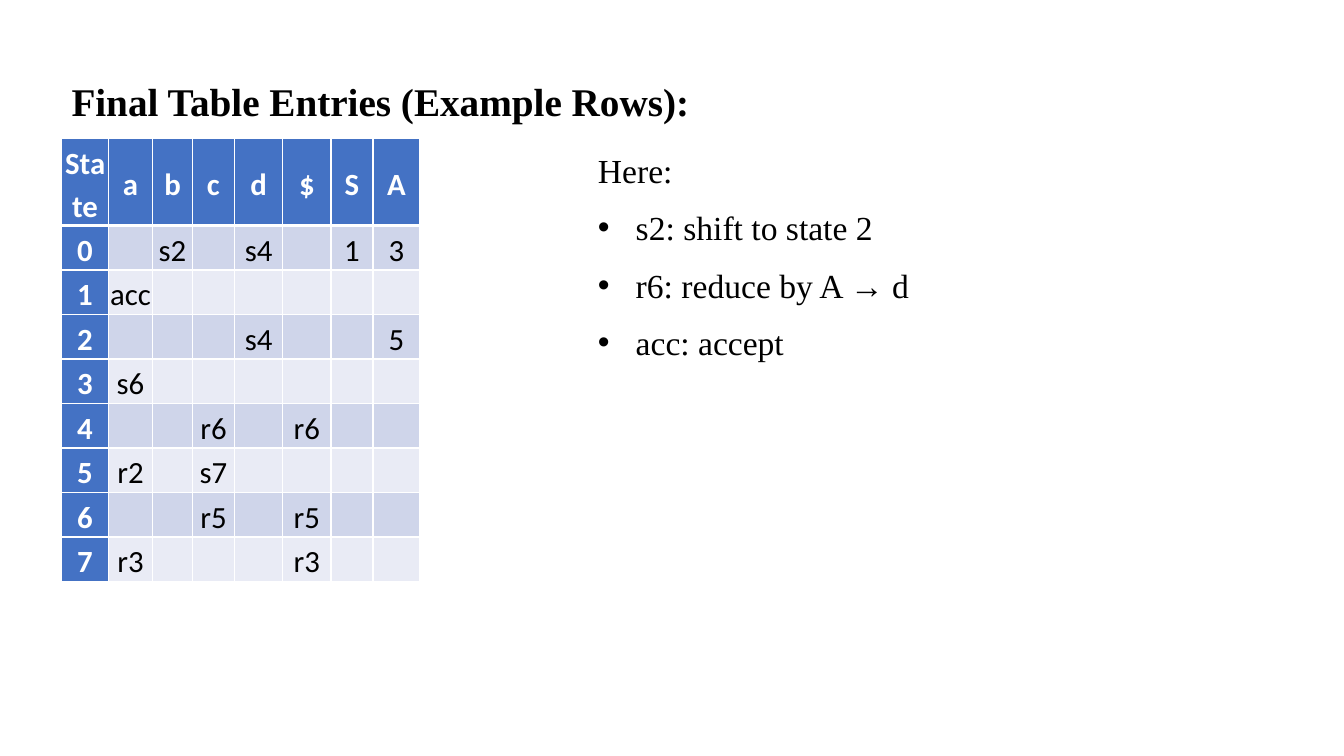
from dataclasses import dataclass

from lxml.etree import SubElement
from pptx import Presentation
from pptx.dml.color import RGBColor
from pptx.enum.text import MSO_ANCHOR, MSO_AUTO_SIZE, PP_ALIGN
from pptx.oxml.ns import qn
from pptx.util import Pt


@dataclass(frozen=True)
class Theme:
    text_font: str = "Times New Roman"
    table_font: str = "Calibri"
    bullet_font: str = "Arial"
    title_size: float = 28
    body_size: float = 24
    table_size: float = 22
    ink: str = "000000"
    white: str = "FFFFFF"
    header: str = "4472C4"
    bands: tuple = ("CFD5EA", "E9EBF5")
    line_spacing: float = 1.15
    space_after: float = 8


THEME = Theme()

COLUMNS = ["State", "a", "b", "c", "d", "$", "S", "A"]
COLUMN_WIDTHS = [33.5, 31.5, 28.5, 30, 34.5, 34.5, 30, 33.5]
HEADER_HEIGHT, ROW_HEIGHT = 61.6, 31.8
# Entries of each state, by column symbol
ENTRIES = [
    {"b": "s2", "d": "s4", "S": "1", "A": "3"},
    {"a": "acc"},
    {"d": "s4", "A": "5"},
    {"a": "s6"},
    {"c": "r6", "$": "r6"},
    {"a": "r2", "c": "s7"},
    {"c": "r5", "$": "r5"},
    {"a": "r3", "$": "r3"},
]
MEANINGS = ["s2: shift to state 2", "r6: reduce by A → d", "acc: accept"]


def write(paragraph, text, font, size, color=THEME.ink, bold=False):
    paragraph.line_spacing = THEME.line_spacing
    paragraph.space_after = Pt(THEME.space_after)
    run = paragraph.add_run()
    run.text = text
    run.font.name = font
    run.font.size = Pt(size)
    run.font.bold = bold
    run.font.color.rgb = RGBColor.from_string(color)


def add_text_frame(slide, left, top, width, height):
    box = slide.shapes.add_textbox(Pt(left), Pt(top), Pt(width), Pt(height))
    frame = box.text_frame
    frame.word_wrap = True
    frame.auto_size = MSO_AUTO_SIZE.SHAPE_TO_FIT_TEXT
    return frame


def add_bullet(paragraph, indent):
    properties = paragraph._p.get_or_add_pPr()
    properties.set("marL", str(Pt(indent)))
    properties.set("indent", str(-Pt(indent)))
    SubElement(properties, qn("a:buFont"), typeface=THEME.bullet_font)
    SubElement(properties, qn("a:buChar"), char="•")


def set_borders(cell, top, bottom):
    properties = cell._tc.get_or_add_tcPr()
    for side, weight in (("L", 1), ("R", 1), ("T", top), ("B", bottom)):
        line = SubElement(properties, qn(f"a:ln{side}"), w=str(Pt(weight)))
        fill = SubElement(line, qn("a:solidFill"))
        SubElement(fill, qn("a:srgbClr"), val=THEME.white)


def fill_cell(cell, text, row, column):
    heading = row == 0 or column == 0
    set_borders(cell, 3 if row == 1 else 1, 3 if row == 0 else 1)
    cell.fill.solid()
    color = THEME.header if heading else THEME.bands[(row - 1) % 2]
    cell.fill.fore_color.rgb = RGBColor.from_string(color)
    cell.margin_left = cell.margin_right = Pt(0.72)
    cell.margin_top = cell.margin_bottom = Pt(0.72)
    cell.vertical_anchor = MSO_ANCHOR.MIDDLE
    if text:
        paragraph = cell.text_frame.paragraphs[0]
        paragraph.alignment = PP_ALIGN.CENTER
        write(paragraph, text, THEME.table_font, THEME.table_size,
              THEME.white if heading else THEME.ink, heading)


# Title
def add_title(slide, left, top, width, height):
    frame = add_text_frame(slide, left, top, width, height)
    write(frame.paragraphs[0], "Final Table Entries (Example Rows):",
          THEME.text_font, THEME.title_size, bold=True)


# Parsing table
def add_parsing_table(slide, left, top):
    rows = [COLUMNS]
    for state, entries in enumerate(ENTRIES):
        rows.append([str(state)] + [entries.get(name, "") for name in COLUMNS[1:]])
    heights = [HEADER_HEIGHT] + [ROW_HEIGHT] * len(ENTRIES)
    table = slide.shapes.add_table(
        len(rows), len(COLUMNS), Pt(left), Pt(top),
        Pt(sum(COLUMN_WIDTHS)), Pt(sum(heights))).table
    table.first_col = True
    for column, width in zip(table.columns, COLUMN_WIDTHS):
        column.width = Pt(width)
    for row, height in zip(table.rows, heights):
        row.height = Pt(height)
    for row, texts in enumerate(rows):
        for column, text in enumerate(texts):
            fill_cell(table.cell(row, column), text, row, column)


# Explanation of the entries
def add_legend(slide, left, top, width, height):
    frame = add_text_frame(slide, left, top, width, height)
    write(frame.paragraphs[0], "Here:", THEME.text_font, THEME.body_size)
    for meaning in MEANINGS:
        paragraph = frame.add_paragraph()
        write(paragraph, meaning, THEME.text_font, THEME.body_size)
        add_bullet(paragraph, 27)


def main():
    presentation = Presentation()
    presentation.slide_width, presentation.slide_height = Pt(960), Pt(540)
    slide = presentation.slides.add_slide(presentation.slide_layouts[6])
    add_title(slide, 44, 47, 480, 44)
    add_parsing_table(slide, 44, 99)
    add_legend(slide, 420, 99, 480, 163)
    presentation.save("out.pptx")


if __name__ == "__main__":
    main()
